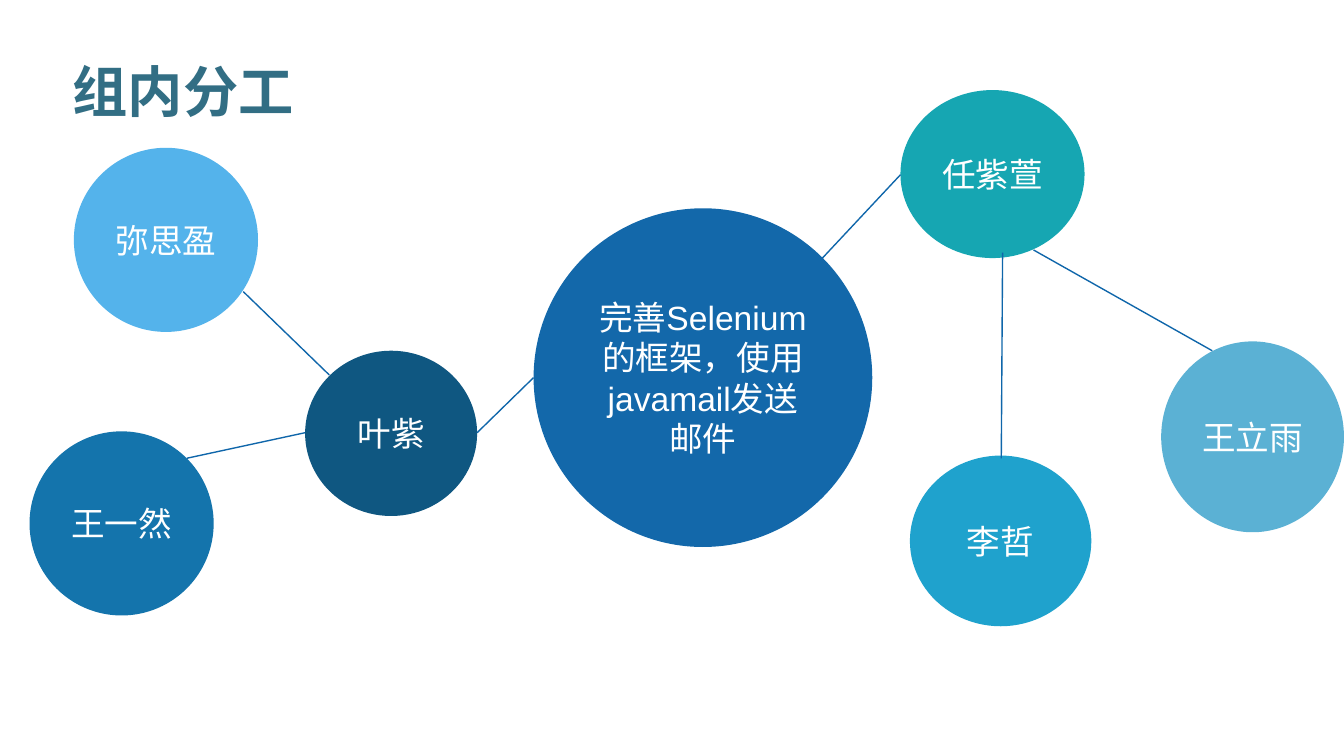
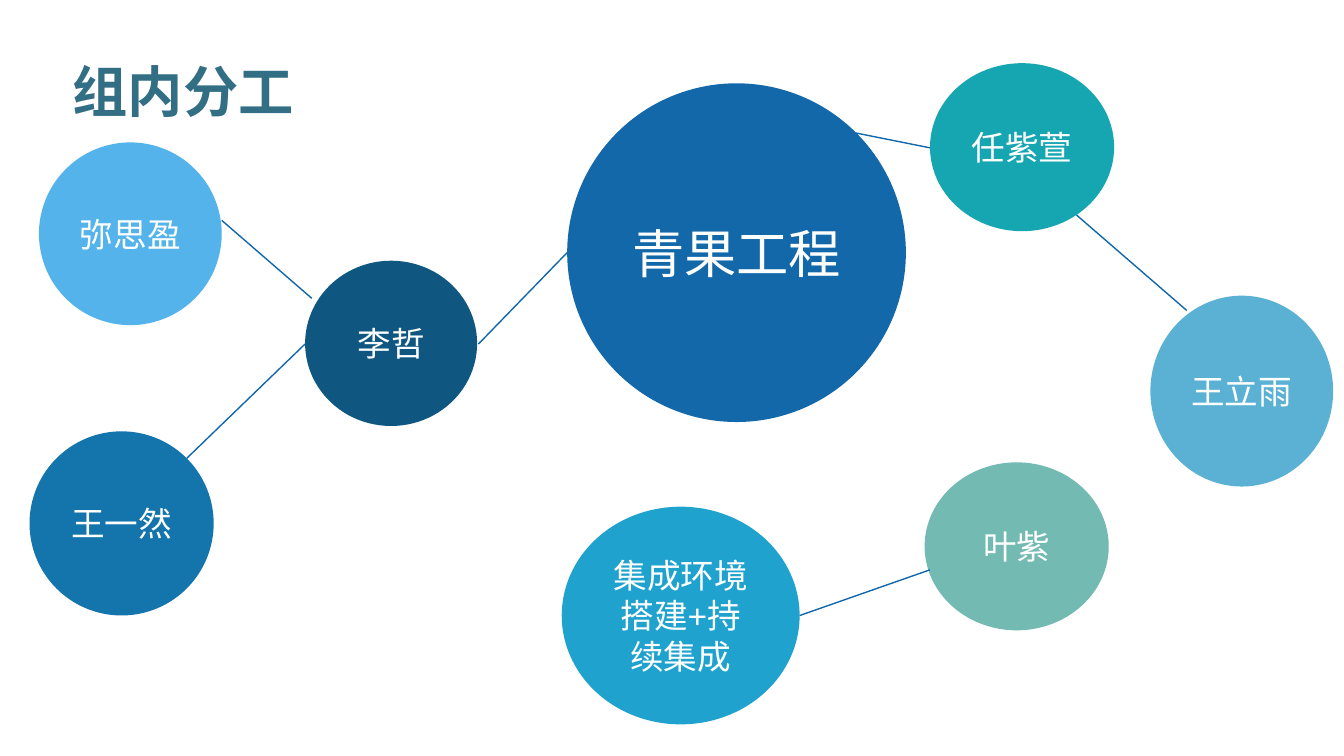
from dataclasses import dataclass

from lxml import etree
from pptx import Presentation
from pptx.dml.color import RGBColor
from pptx.enum.shapes import MSO_CONNECTOR, MSO_SHAPE
from pptx.enum.text import MSO_ANCHOR, PP_ALIGN
from pptx.oxml.ns import qn
from pptx.util import Inches, Pt

OVAL = MSO_SHAPE.OVAL
STRAIGHT = MSO_CONNECTOR.STRAIGHT
MIDDLE = MSO_ANCHOR.MIDDLE
LEFT, CENTER = PP_ALIGN.LEFT, PP_ALIGN.CENTER
TITLE_ONLY = 5
WIDTH = 10
HEIGHT = WIDTH * 9 / 16


@dataclass(frozen=True)
class Theme:
    font: str = "Arial"
    white: str = "FFFFFF"
    title: str = "326E84"
    line: str = "0F66AA"
    core: str = "1368AA"
    teal: str = "16A6B2"
    navy: str = "0F5781"
    cyan: str = "1FA2CD"
    blue: str = "1474AC"
    sky: str = "54B3EB"
    pale: str = "5BB1D4"
    sage: str = "72BAB2"
    title_size: float = 29.6
    core_size: float = 28
    body_size: float = 18
    line_width: float = 0.75


THEME = Theme()
TITLE = "组内分工"

# Circles: text, left, top, width, height, fill, text size
MAIL_NODES = [
    ("完善Selenium的框架，使用javamail发送邮件", 3.97, 1.55, 2.52, 2.52,
     THEME.core, THEME.body_size),
    ("任紫萱", 6.7, 0.67, 1.37, 1.25, THEME.teal, THEME.body_size),
    ("叶紫", 2.27, 2.61, 1.28, 1.23, THEME.navy, THEME.body_size),
    ("李哲", 6.77, 3.39, 1.35, 1.27, THEME.cyan, THEME.body_size),
    ("王一然", 0.22, 3.21, 1.37, 1.37, THEME.blue, THEME.body_size),
    ("弥思盈", 0.55, 1.1, 1.37, 1.37, THEME.sky, THEME.body_size),
    ("王立雨", 8.64, 2.54, 1.36, 1.42, THEME.pale, THEME.body_size),
]
# Links: start x, start y, end x, end y
MAIL_LINKS = [
    (3.55, 3.22, 3.97, 2.81),
    (1.81, 2.17, 2.45, 2.79),
    (2.27, 3.22, 1.39, 3.41),
    (6.12, 1.92, 6.7, 1.3),
    (7.69, 1.86, 9.02, 2.61),
    (7.46, 1.88, 7.45, 3.41),
]
FRUIT_NODES = [
    ("青果工程", 4.22, 0.62, 2.52, 2.52, THEME.core, THEME.core_size),
    ("任紫萱", 6.92, 0.47, 1.37, 1.25, THEME.teal, THEME.body_size),
    ("李哲", 2.27, 1.94, 1.28, 1.23, THEME.navy, THEME.body_size),
    ("集成环境搭建+持续集成", 4.18, 3.77, 1.77, 1.62, THEME.cyan,
     THEME.body_size),
    ("王一然", 0.22, 3.21, 1.37, 1.37, THEME.blue, THEME.body_size),
    ("弥思盈", 0.29, 1.06, 1.36, 1.36, THEME.sky, THEME.body_size),
    ("王立雨", 8.56, 2.2, 1.36, 1.42, THEME.pale, THEME.body_size),
    ("叶紫", 6.88, 3.44, 1.37, 1.25, THEME.sage, THEME.body_size),
]
FRUIT_LINKS = [
    (3.56, 2.56, 4.22, 1.88),
    (1.65, 1.64, 2.32, 2.22),
    (2.27, 2.56, 1.39, 3.41),
    (6.37, 0.99, 6.92, 1.1),
    (8.01, 1.6, 8.83, 2.31),
    (5.95, 4.58, 6.92, 4.24),
]


def rgb(code):
    return RGBColor.from_string(code)


def set_text(frame, text, size, color, align, bold=False):
    frame.text = text
    frame.vertical_anchor = MIDDLE
    para = frame.paragraphs[0]
    para.alignment = align
    font = para.runs[0].font
    font.name = THEME.font
    font.size = Pt(size)
    font.bold = bold
    font.color.rgb = rgb(color)


def add_title(slide, text):
    title = slide.shapes.title
    title.left, title.top = Inches(0.54), Inches(0.45)
    title.width, title.height = Inches(1.78), Inches(0.44)
    frame = title.text_frame
    frame.margin_left = frame.margin_right = 0
    frame.margin_top = frame.margin_bottom = 0
    set_text(frame, text, THEME.title_size, THEME.title, LEFT, True)
    frame.word_wrap = False


def add_node(slide, text, left, top, width, height, fill, size):
    node = slide.shapes.add_shape(
        OVAL, Inches(left), Inches(top), Inches(width), Inches(height))
    node.shadow.inherit = False
    node.fill.solid()
    node.fill.fore_color.rgb = rgb(fill)
    node.line.fill.background()
    node.text_frame.word_wrap = True
    set_text(node.text_frame, text, size, THEME.white, CENTER)


def add_link(slide, *ends):
    link = slide.shapes.add_connector(STRAIGHT, *map(Inches, ends))
    link.line.color.rgb = rgb(THEME.line)
    link.line.width = Pt(THEME.line_width)
    etree.SubElement(link._element.spPr, qn("a:effectLst"))


def add_map(deck, nodes, links):
    """Add a slide of circles joined by lines."""
    slide = deck.slides.add_slide(deck.slide_layouts[TITLE_ONLY])
    add_title(slide, TITLE)
    for node in nodes:
        add_node(slide, *node)
    for link in links:
        add_link(slide, *link)


def main():
    deck = Presentation()
    deck.slide_width, deck.slide_height = Inches(WIDTH), Inches(HEIGHT)
    back = deck.slide_master.background.fill
    back.solid()
    back.fore_color.rgb = rgb(THEME.white)
    add_map(deck, MAIL_NODES, MAIL_LINKS)
    add_map(deck, FRUIT_NODES, FRUIT_LINKS)
    deck.save("out.pptx")


if __name__ == "__main__":
    main()
